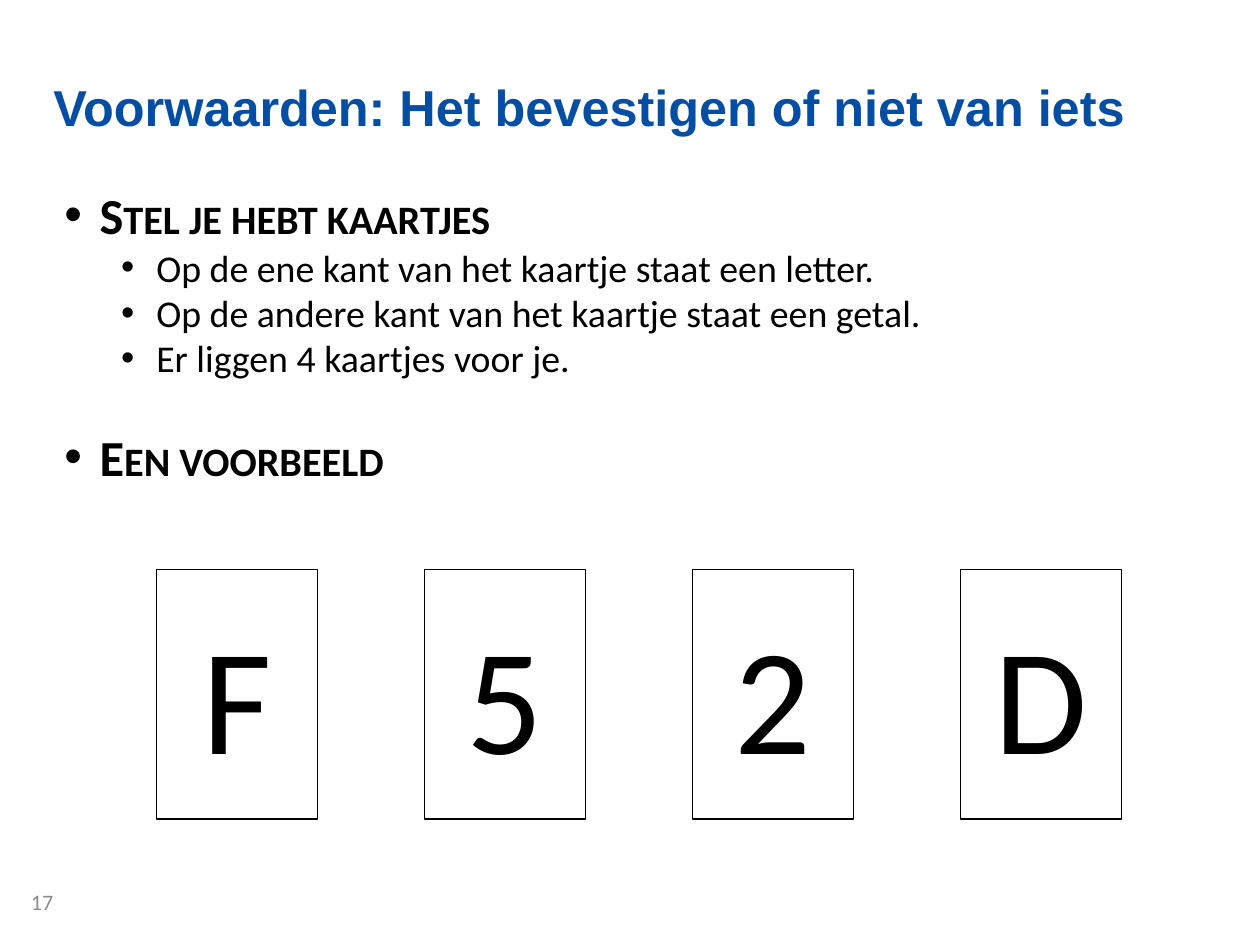
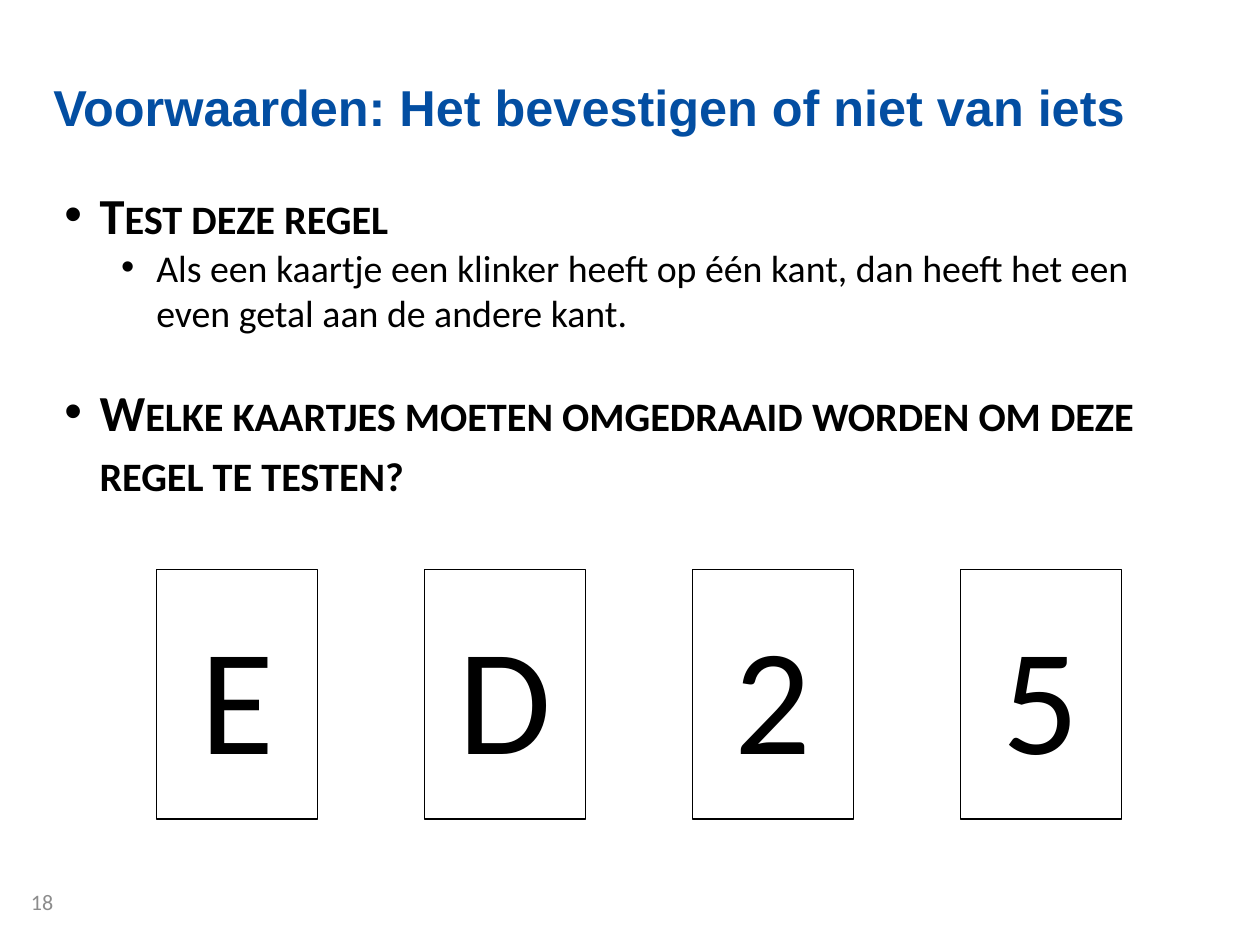
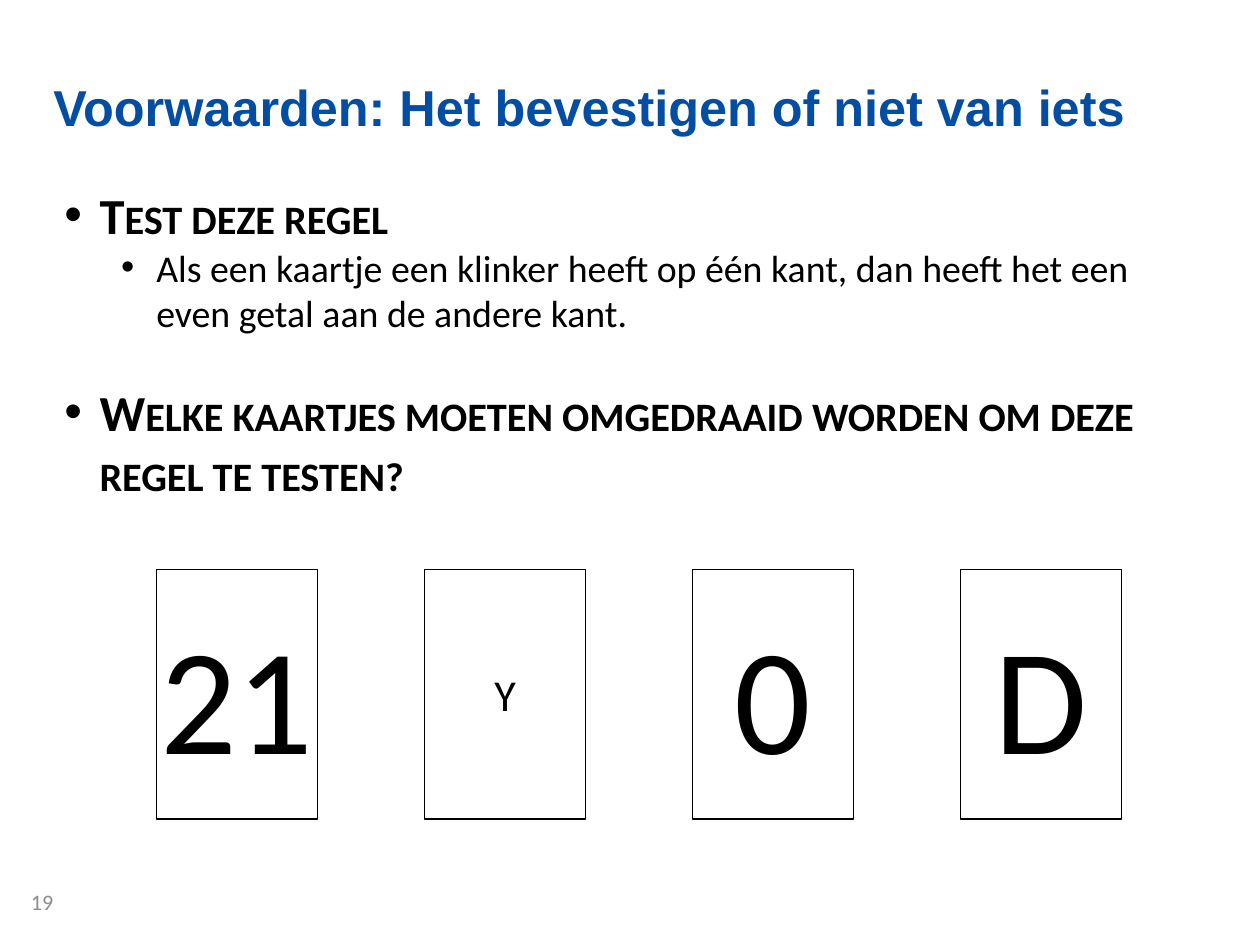
from pptx import Presentation
from pptx.dml.color import RGBColor
from pptx.enum.shapes import MSO_SHAPE
from pptx.enum.text import MSO_ANCHOR, PP_ALIGN
from pptx.oxml.ns import qn
from pptx.util import Inches, Pt
from lxml.etree import SubElement

# Shared style
BLUE = RGBColor(0x03, 0x4E, 0xA2)
GRAY = RGBColor(0x8C, 0x8C, 0x8C)
BLACK = RGBColor(0, 0, 0)
WHITE = RGBColor(255, 255, 255)
TITLE_FONT = "Arial"
BODY_FONT = "Calibri"

TITLE = "Voorwaarden: Het bevestigen of niet van iets"
FIRST_NUMBER = 17
MARGIN = 0.47
CONTENT_WIDTH = 10.17

# Row of cards
CARD_LEFT, CARD_TOP = 1.38, 5.02
CARD_WIDTH, CARD_HEIGHT = 1.42, 2.2
CARD_PITCH = 2.363
CARD_SIZE = 96

# Content: sections are (heading, points), cards are (symbol, size)
RULE_SECTIONS = [
    ("Test deze regel",
     ["Als een kaartje een klinker heeft op één kant, dan heeft het een "
      "even getal aan de andere kant."]),
    ("Welke kaartjes moeten omgedraaid worden om deze regel te testen?", []),
]
INTRO_SECTIONS = [
    ("Stel je hebt kaartjes",
     ["Op de ene kant van het kaartje staat een letter.",
      "Op de andere kant van het kaartje staat een getal.",
      "Er liggen 4 kaartjes voor je."]),
    ("Een voorbeeld", []),
]
SLIDES = [
    (INTRO_SECTIONS, [(symbol, CARD_SIZE) for symbol in "F52D"]),
    (RULE_SECTIONS, [(symbol, CARD_SIZE) for symbol in "ED25"]),
    (RULE_SECTIONS, [("21", CARD_SIZE), ("Y", 28), ("0", CARD_SIZE), ("D", CARD_SIZE)]),
]


def format_runs(paragraph, size, color=BLACK, name=BODY_FONT, bold=False):
    for run in paragraph.runs:
        run.font.size = Pt(size)
        run.font.color.rgb = color
        run.font.name = name
        run.font.bold = bold


def add_text_frame(slide, left, top, width, height, inset=True):
    box = slide.shapes.add_textbox(Inches(left), Inches(top), Inches(width), Inches(height))
    text_frame = box.text_frame
    text_frame.word_wrap = True
    if not inset:
        text_frame.margin_left = text_frame.margin_right = 0
        text_frame.margin_top = text_frame.margin_bottom = 0
    return text_frame


def add_title(slide):
    text_frame = add_text_frame(slide, MARGIN, 0.67, CONTENT_WIDTH, 0.74, inset=False)
    text_frame.text = TITLE
    format_runs(text_frame.paragraphs[0], 32, BLUE, TITLE_FONT, bold=True)


def add_slide_number(slide, number):
    text_frame = add_text_frame(slide, 0, 7.83, MARGIN, 0.2, inset=False)
    text_frame.text = str(number)
    paragraph = text_frame.paragraphs[0]
    paragraph.alignment = PP_ALIGN.RIGHT
    format_runs(paragraph, 14, GRAY)


def set_bullet(paragraph, indent):
    properties = paragraph._p.get_or_add_pPr()
    properties.set("marL", str(Inches(indent)))
    properties.set("indent", str(Inches(-0.31)))
    SubElement(properties, qn("a:buFont")).set("typeface", TITLE_FONT)
    SubElement(properties, qn("a:buChar")).set("char", "•")


def add_heading(paragraph, text):
    paragraph.text = text
    format_runs(paragraph, 32, bold=True)
    for run in paragraph.runs:
        run.font._element.set("cap", "small")
    set_bullet(paragraph, 0.31)


def add_point(paragraph, text):
    paragraph.text = text
    paragraph.level = 1
    format_runs(paragraph, 24)
    set_bullet(paragraph, 0.81)


def add_body(slide, sections):
    text_frame = add_text_frame(slide, MARGIN, 1.57, CONTENT_WIDTH, 5.67)
    for index, (heading, points) in enumerate(sections):
        if index == 0:
            paragraph = text_frame.paragraphs[0]
        else:
            paragraph = text_frame.add_paragraph()
            paragraph.space_before = Pt(29)
        add_heading(paragraph, heading)
        for point in points:
            add_point(text_frame.add_paragraph(), point)


def add_card(slide, left, symbol, size):
    card = slide.shapes.add_shape(
        MSO_SHAPE.RECTANGLE, Inches(left), Inches(CARD_TOP),
        Inches(CARD_WIDTH), Inches(CARD_HEIGHT))
    card.shadow.inherit = False
    card.fill.solid()
    card.fill.fore_color.rgb = WHITE
    card.line.color.rgb = BLACK
    card.line.width = Pt(0.75)
    text_frame = card.text_frame
    text_frame.word_wrap = False
    text_frame.vertical_anchor = MSO_ANCHOR.MIDDLE
    text_frame.text = symbol
    paragraph = text_frame.paragraphs[0]
    paragraph.alignment = PP_ALIGN.CENTER
    format_runs(paragraph, size)


def main():
    presentation = Presentation()
    presentation.slide_width = Inches(11.11)
    presentation.slide_height = Inches(8.33)
    blank_layout = presentation.slide_layouts[6]
    for number, (sections, cards) in enumerate(SLIDES, FIRST_NUMBER):
        slide = presentation.slides.add_slide(blank_layout)
        add_title(slide)
        add_slide_number(slide, number)
        add_body(slide, sections)
        for column, (symbol, size) in enumerate(cards):
            add_card(slide, CARD_LEFT + column * CARD_PITCH, symbol, size)
    presentation.save("out.pptx")


if __name__ == "__main__":
    main()
